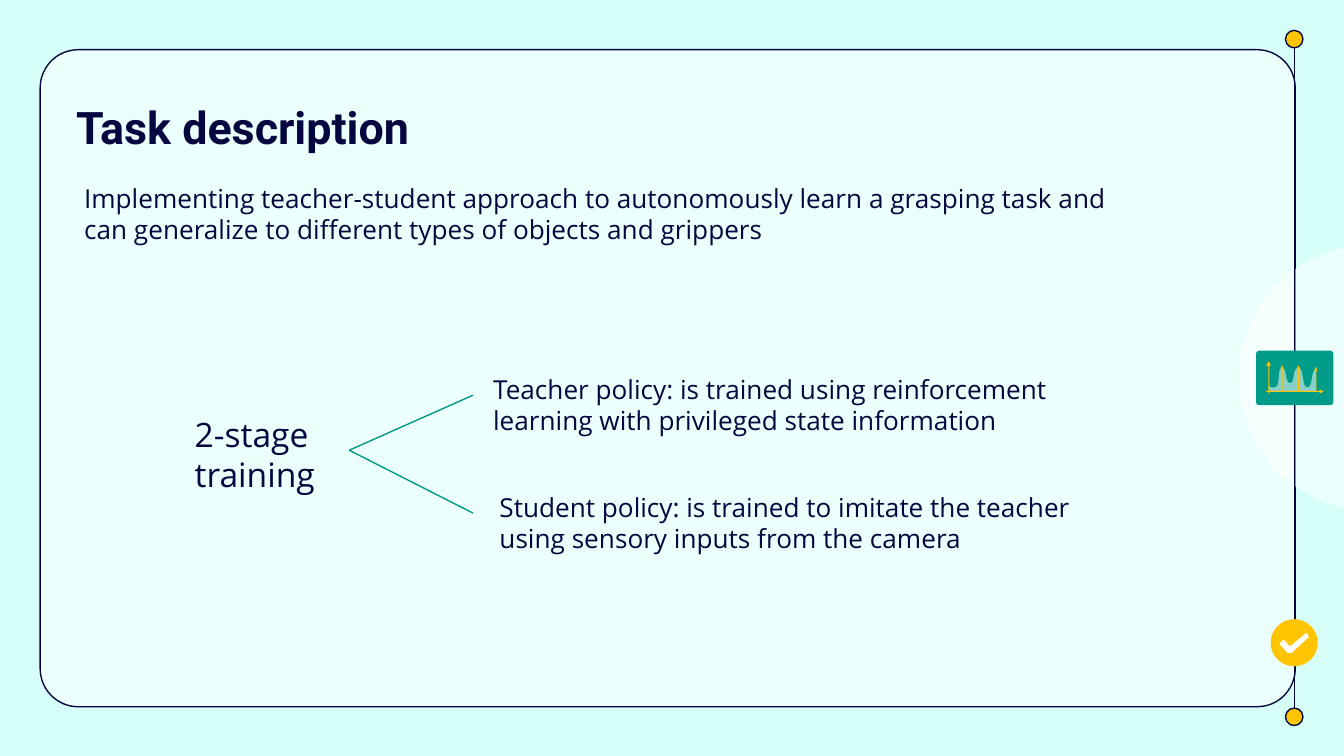
"""Build the task description slide with its two-stage training diagram."""
from lxml.etree import SubElement as Sub
from pptx import Presentation
from pptx.dml.color import RGBColor
from pptx.enum.shapes import MSO_CONNECTOR as Link, MSO_SHAPE as Kind
from pptx.oxml.ns import qn
from pptx.util import Cm, Pt

NAVY = RGBColor(0x05, 0x06, 0x3F)
MINT = RGBColor(0xD6, 0xFF, 0xF9)
TEAL = RGBColor(0x00, 0x9B, 0x89)
FORK = RGBColor(0x00, 0x98, 0x86)
GOLD = RGBColor(0xFF, 0xC4, 0x02)
WHITE = RGBColor(0xFF, 0xFF, 0xFF)

BODY = {"name": "Open Sans", "size": Pt(14)}
STAGE = {"name": "Open Sans", "size": Pt(18)}
TITLE = {"name": "Roboto", "size": Pt(24), "bold": True}
TEXTS = [
    ("Implementing teacher-student approach to autonomously learn a grasping task and "
     "can generalize to different types of objects and grippers",
     (1.34, 3.2, 20.5, 1.57), BODY),
    ("Teacher policy: is trained using reinforcement learning with privileged state information",
     (9.07, 6.81, 12.73, 1.57), BODY),
    ("Student policy: is trained to imitate the teacher using sensory inputs from the camera",
     (9.19, 9.04, 12.45, 1.6), BODY),
    ("2-stage training", (3.43, 7.57, 3.28, 2.29), STAGE),
    ("Task description", (1.19, 1.63, 7.39, 1.32), TITLE),
]
ROOT = (6.6, 8.51)
TIPS = [(8.94, 7.47), (8.94, 9.7)]
RAIL = 24.46
ENDS = (0.74, 13.55)
PEAKS = [(24.23, 6.96), (24.54, 6.96), (24.87, 6.99)]
BASE = 7.39
START = (23.98, 7.29)
WAVE = [
    ((23.98, 7.29), (24, 7.34), (24.1, 7.32)),
    ((24.21, 7.29), (24.13, 6.96), (24.23, 6.96)),
    ((24.33, 6.96), (24.28, 7.24), (24.38, 7.24)),
    ((24.49, 7.24), (24.41, 6.96), (24.54, 6.96)),
    ((24.66, 6.96), (24.59, 7.32), (24.71, 7.32)),
    ((24.82, 7.32), (24.77, 6.99), (24.87, 6.99)),
]
HEADS = [
    [(23.93, 6.91), (23.98, 6.83), (24.02, 6.91)],
    [(24.94, 7.36), (25.02, 7.4), (24.94, 7.44)],
]
TICK = [(24.38, 12.34), (24.33, 12.34), (24.18, 12.17), (24.26, 12.09),
        (24.38, 12.22), (24.69, 11.96), (24.74, 12.04), (24.41, 12.34)]

deck = Presentation()
deck.slide_width, deck.slide_height = Cm(25.4), Cm(14.29)
slide = deck.slides.add_slide(deck.slide_layouts[6])
slide.background.fill.solid()
slide.background.fill.fore_color.rgb = MINT
shapes = slide.shapes


def paint(item, fill, line=None, alpha=None):
    item.shadow.inherit = False
    item.fill.solid()
    item.fill.fore_color.rgb = fill
    if alpha:
        tint = item.fill._xPr.find(qn("a:solidFill"))[0]
        Sub(tint, qn("a:alpha"), val=str(alpha * 1000))
    if line:
        item.line.color.rgb, item.line.width = line, Pt(0.75)
    else:
        item.line.fill.background()


def shape(kind, box, *look, round=None):
    item = shapes.add_shape(kind, *map(Cm, box))
    if round:
        item.adjustments[0] = round
    paint(item, *look)


def disc(x, y, size, *look):
    shape(Kind.OVAL, (x - size / 2, y - size / 2, size, size), *look)


def bar(x, y, wide, high):
    shape(Kind.RECTANGLE, (x, y, wide, high), GOLD)


def outline(dots, *look):
    first, *rest = [(Cm(x), Cm(y)) for x, y in dots]
    pen = shapes.build_freeform(*first)
    pen.add_line_segments(rest)
    paint(pen.convert_to_shape(), *look)


def link(start, end, color):
    item = shapes.add_connector(Link.STRAIGHT, *map(Cm, start + end))
    item.line.color.rgb, item.line.width = color, Pt(0.75)
    Sub(item._element.spPr, qn("a:effectLst"))


def curve(start, parts, steps=12):
    dots = [start]
    for a, b, c in parts:
        knots = (dots[-1], a, b, c)
        for n in range(1, steps + 1):
            t = n / steps
            mix = ((1 - t) ** 3, 3 * t * (1 - t) ** 2, 3 * t * t * (1 - t), t ** 3)
            dots.append(tuple(sum(m * k[i] for m, k in zip(mix, knots)) for i in (0, 1)))
    return dots


def write(words, box, font):
    frame = shapes.add_textbox(*map(Cm, box)).text_frame
    form = {"word_wrap": True, "margin_left": Cm(0.25), "margin_right": Cm(0.25),
            "margin_top": Cm(0.25), "margin_bottom": Cm(0.25)}
    for key, val in form.items():
        setattr(frame, key, val)
    run = frame.paragraphs[0].add_run()
    run.text = words
    for key, val in font.items():
        setattr(run.font, key, val)
    run.font.color.rgb = NAVY


shape(Kind.ROUNDED_RECTANGLE, (0.76, 0.94, 23.72, 12.42), WHITE, NAVY, 53, round=0.058)
disc(25.93, 7.14, 5.03, WHITE, None, 53)
for y in ENDS:
    disc(RAIL, y, 0.33, GOLD, NAVY)
link((RAIL, ENDS[0] + 0.17), (RAIL, ENDS[1] - 0.17), NAVY)

shape(Kind.ROUNDED_RECTANGLE, (23.74, 6.63, 1.46, 1.03), TEAL, round=0.06)
outline(curve(START, WAVE) + [(PEAKS[-1][0], BASE), (START[0], BASE)], WHITE, None, 53)
for x, y in PEAKS:
    bar(x - 0.01, y - 0.05, 0.02, BASE - y + 0.05)
    disc(x, y, 0.05, GOLD)
bar(23.97, 6.88, 0.02, 0.56)
bar(23.93, BASE, 1.02, 0.02)
for head in HEADS:
    outline(head, GOLD)

disc(RAIL, 12.15, 0.89, GOLD)
outline(TICK, WHITE)

for tip in TIPS:
    link(ROOT, tip, FORK)
for text in TEXTS:
    write(*text)
deck.save("out.pptx")
